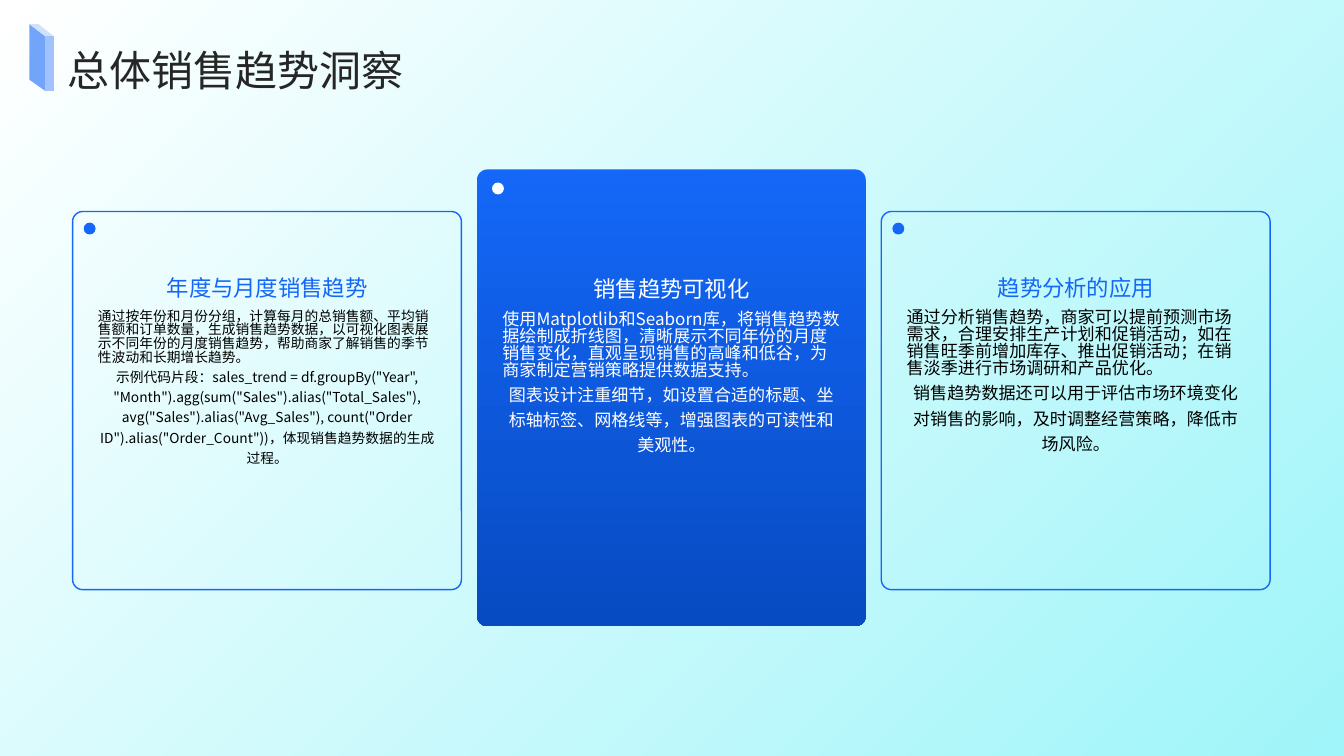
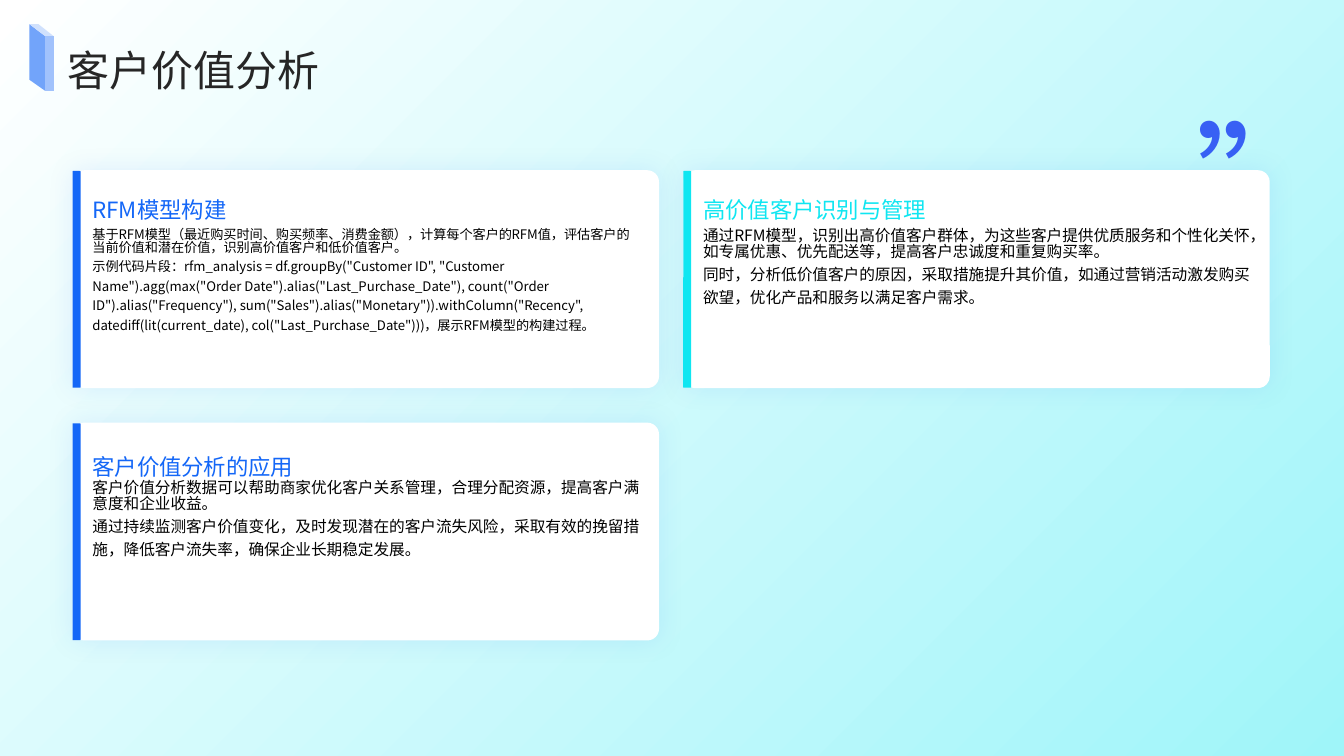
from lxml.etree import SubElement
from pptx import Presentation
from pptx.dml.color import RGBColor
from pptx.enum.shapes import MSO_SHAPE as Shape
from pptx.enum.text import MSO_ANCHOR as Anchor, PP_ALIGN as Align
from pptx.oxml.ns import qn
from pptx.util import Cm, Pt

FONT = "Noto Sans CJK SC"
COLORS = {
    "white": "FFFFFF", "black": "000000", "title": "262626",
    "blue": "1467F7", "deep": "074BC2", "cyan": "0FE6F1", "aqua": "9FF5F9",
    "quote": "3860F4", "front": "72A4FA", "top": "D0E1FD", "side": "A1C2FC",
}
COLORS = {name: RGBColor.from_string(value) for name, value in COLORS.items()}


def add_box(slide, kind, left, top, width, height, fill=None, angle=0, corner=None, line=None):
    shape = slide.shapes.add_shape(kind, Cm(left), Cm(top), Cm(width), Cm(height))
    shape.shadow.inherit = False
    if corner is not None:
        shape.adjustments[0] = corner
    if isinstance(fill, tuple):
        shape.fill.gradient()
        shape.fill.gradient_angle = 360 - angle
        for stop, name in zip(shape.fill.gradient_stops, fill):
            stop.color.rgb = COLORS[name]
    elif fill:
        shape.fill.solid()
        shape.fill.fore_color.rgb = COLORS[fill]
    else:
        shape.fill.background()
    if line:
        shape.line.color.rgb = COLORS[line]
        shape.line.width = Pt(1)
    else:
        shape.line.fill.background()
    return shape


def add_text(slide, left, top, width, height, lines, size, color, anchor=Anchor.TOP):
    frame = slide.shapes.add_textbox(Cm(left), Cm(top), Cm(width), Cm(height)).text_frame
    frame.word_wrap = True
    frame.vertical_anchor = anchor
    frame.margin_left = frame.margin_right = frame.margin_top = frame.margin_bottom = 0
    for index, (text, align, spacing) in enumerate(lines):
        paragraph = frame.add_paragraph() if index else frame.paragraphs[0]
        paragraph.text = text
        paragraph.alignment = align
        paragraph.line_spacing = spacing
        paragraph.font.size = Pt(size)
        paragraph.font.color.rgb = COLORS[color]
        paragraph.font.name = FONT
        properties = paragraph._p.pPr.find(qn("a:defRPr"))
        SubElement(properties, qn("a:ea"), typeface=FONT)


presentation = Presentation()
presentation.slide_width = Cm(33.87)
presentation.slide_height = Cm(19.05)

MARKER = [
    ("front", [(0.74, 0.61), (1.14, 0.91), (1.14, 2.29), (0.74, 2.01)]),
    ("top", [(0.74, 0.61), (0.97, 0.61), (1.35, 0.91), (1.14, 0.91)]),
    ("side", [(1.14, 0.91), (1.35, 0.91), (1.35, 2.29), (1.14, 2.29)]),
]
slides = []
for heading in ["总体销售趋势洞察", "客户价值分析"]:
    slide = presentation.slides.add_slide(presentation.slide_layouts[6])
    add_box(slide, Shape.RECTANGLE, 0, 0, 33.87, 19.05, ("white", "aqua"), 45)
    for color, points in MARKER:
        corners = [(Cm(x), Cm(y)) for x, y in points]
        builder = slide.shapes.build_freeform(*corners[0])
        builder.add_line_segments(corners[1:], close=True)
        face = builder.convert_to_shape()
        face.shadow.inherit = False
        face.fill.solid()
        face.fill.fore_color.rgb = COLORS[color]
        face.line.fill.background()
    add_text(slide, 1.7, 0.99, 30.02, 1.27, [(heading, Align.LEFT, 1.1)], 30, "title")
    slides.append(slide)
trend_slide, customer_slide = slides

BODY_TIGHT, BODY_LOOSE = 0.83, 1.23

trend_cards = [
    ("年度与月度销售趋势", 9.8,
     "通过按年份和月份分组，计算每月的总销售额、平均销售额和订单数量，生成销售趋势数据，"
     "以可视化图表展示不同年份的月度销售趋势，帮助商家了解销售的季节性波动和长期增长趋势。",
     '示例代码片段：sales_trend = df.groupBy("Year", "Month").agg(sum("Sales").alias("Total_Sales"), '
     'avg("Sales").alias("Avg_Sales"), count("Order ID").alias("Order_Count"))，'
     "体现销售趋势数据的生成过程。"),
    ("销售趋势可视化", 12.2,
     "使用Matplotlib和Seaborn库，将销售趋势数据绘制成折线图，清晰展示不同年份的月度销售变化，"
     "直观呈现销售的高峰和低谷，为商家制定营销策略提供数据支持。",
     "图表设计注重细节，如设置合适的标题、坐标轴标签、网格线等，增强图表的可读性和美观性。"),
    ("趋势分析的应用", 12.2,
     "通过分析销售趋势，商家可以提前预测市场需求，合理安排生产计划和促销活动，"
     "如在销售旺季前增加库存、推出促销活动；在销售淡季进行市场调研和产品优化。",
     "销售趋势数据还可以用于评估市场环境变化对销售的影响，及时调整经营策略，降低市场风险。"),
]
for column, (heading, size, first, second) in enumerate(trend_cards):
    left = 1.83 + 10.19 * column
    if column == 1:
        add_box(trend_slide, Shape.ROUNDED_RECTANGLE, left, 4.27, 9.8, 11.51,
                ("blue", "deep"), 90, corner=0.027)
        dot_left, dot_top, shift = left + 0.38, 4.6, 0.03
        accent, ink = "white", "white"
    else:
        add_box(trend_slide, Shape.ROUNDED_RECTANGLE, left, 5.33, 9.8, 9.53,
                corner=0.027, line="blue")
        dot_left, dot_top, shift = left + 0.28, 5.61, 0
        accent, ink = "blue", "black"
    add_box(trend_slide, Shape.OVAL, dot_left, dot_top, 0.3, 0.3, accent)
    add_text(trend_slide, left + 0.64, 6.73 + shift, 8.53, 0.86,
             [(heading, Align.CENTER, 1.1)], 16, accent, Anchor.BOTTOM)
    add_text(trend_slide, left + 0.64, 7.82 + shift, 8.53, 5.46,
             [(first, Align.LEFT, BODY_TIGHT), (second, Align.CENTER, BODY_LOOSE)], size, ink)

add_text(customer_slide, 30.12, 3.15, 2.69, 1.91, [("”", Align.RIGHT, 0.85)], 96, "quote")

customer_cards = [
    (0, 0, "RFM模型构建", "blue", 9.4,
     "基于RFM模型（最近购买时间、购买频率、消费金额），计算每个客户的RFM值，"
     "评估客户的当前价值和潜在价值，识别高价值客户和低价值客户。",
     '示例代码片段：rfm_analysis = df.groupBy("Customer ID", "Customer Name")'
     '.agg(max("Order Date").alias("Last_Purchase_Date"), count("Order ID").alias("Frequency"), '
     'sum("Sales").alias("Monetary")).withColumn("Recency", '
     'datediff(lit(current_date), col("Last_Purchase_Date")))，展示RFM模型的构建过程。'),
    (1, 0, "高价值客户识别与管理", "cyan", 11.2,
     "通过RFM模型，识别出高价值客户群体，为这些客户提供优质服务和个性化关怀，"
     "如专属优惠、优先配送等，提高客户忠诚度和重复购买率。",
     "同时，分析低价值客户的原因，采取措施提升其价值，如通过营销活动激发购买欲望，"
     "优化产品和服务以满足客户需求。"),
    (0, 1, "客户价值分析的应用", "blue", 11.2,
     "客户价值分析数据可以帮助商家优化客户关系管理，合理分配资源，提高客户满意度和企业收益。",
     "通过持续监测客户价值变化，及时发现潜在的客户流失风险，采取有效的挽留措施，"
     "降低客户流失率，确保企业长期稳定发展。"),
]
for column, row, heading, accent, size, first, second in customer_cards:
    left = 1.83 + 15.39 * column
    top = 4.29 + 6.36 * row
    card = add_box(customer_slide, Shape.ROUNDED_RECTANGLE, left, top, 14.78, 5.49,
                   "white", corner=0.054)
    effects = card._element.spPr.find(qn("a:effectLst"))
    glow = SubElement(effects, qn("a:outerShdw"), blurRad=str(Pt(19)), dist="0", dir="0",
                      algn="ctr", rotWithShape="0")
    tint = SubElement(glow, qn("a:srgbClr"), val=str(COLORS["blue"]))
    SubElement(tint, qn("a:alpha"), val="10000")
    add_box(customer_slide, Shape.ROUNDED_RECTANGLE, left, top + 0.02, 0.2, 5.46,
            accent, corner=0.054)
    add_text(customer_slide, left + 0.5, top + 0.41 + 0.12 * row, 13.79, 0.81,
             [(heading, Align.LEFT, 1.5)], 16, accent, Anchor.MIDDLE)
    add_text(customer_slide, left + 0.5, top + 1.48, 13.79, 3.15,
             [(first, Align.LEFT, BODY_TIGHT), (second, Align.LEFT, BODY_LOOSE)], size, "black")

presentation.save("out.pptx")
